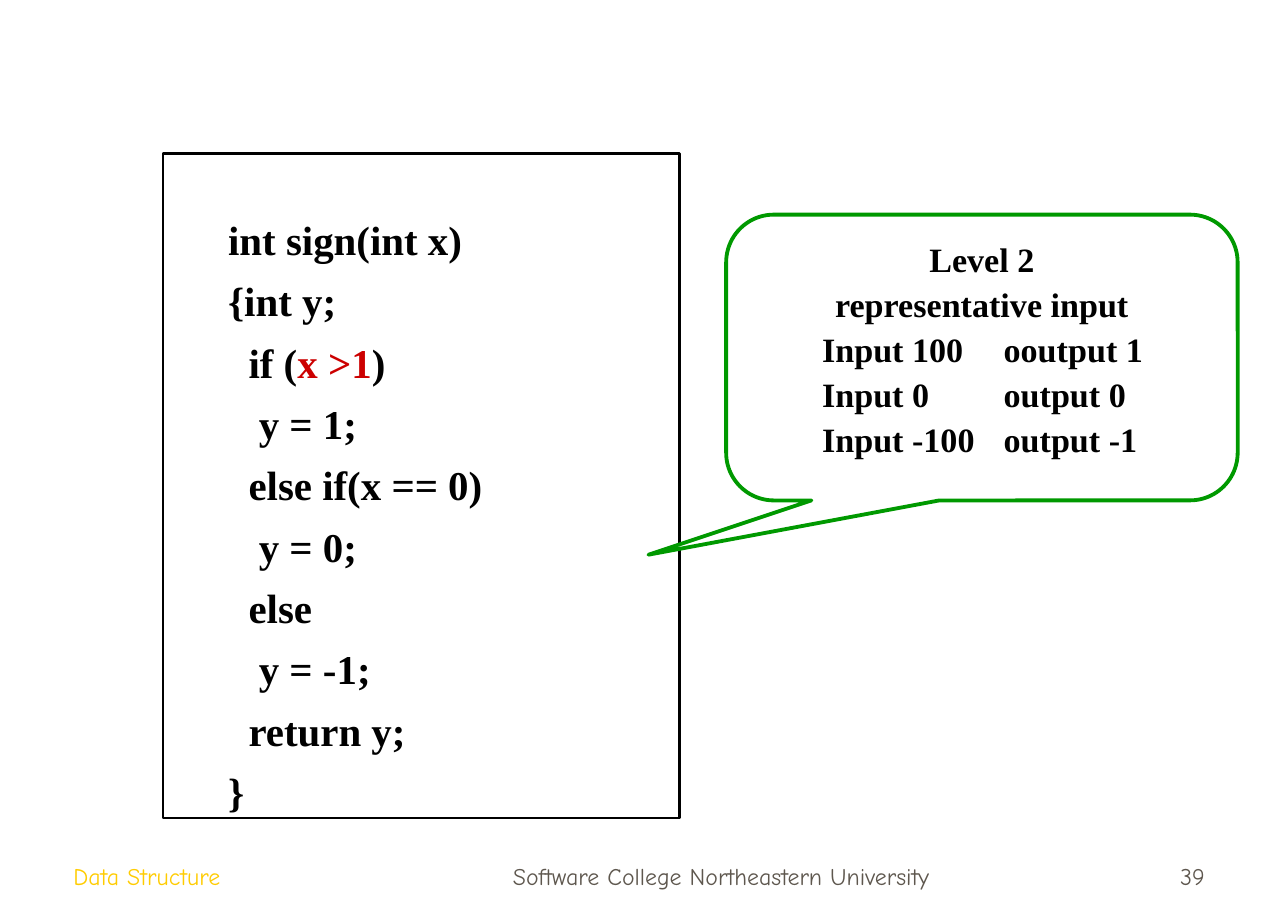
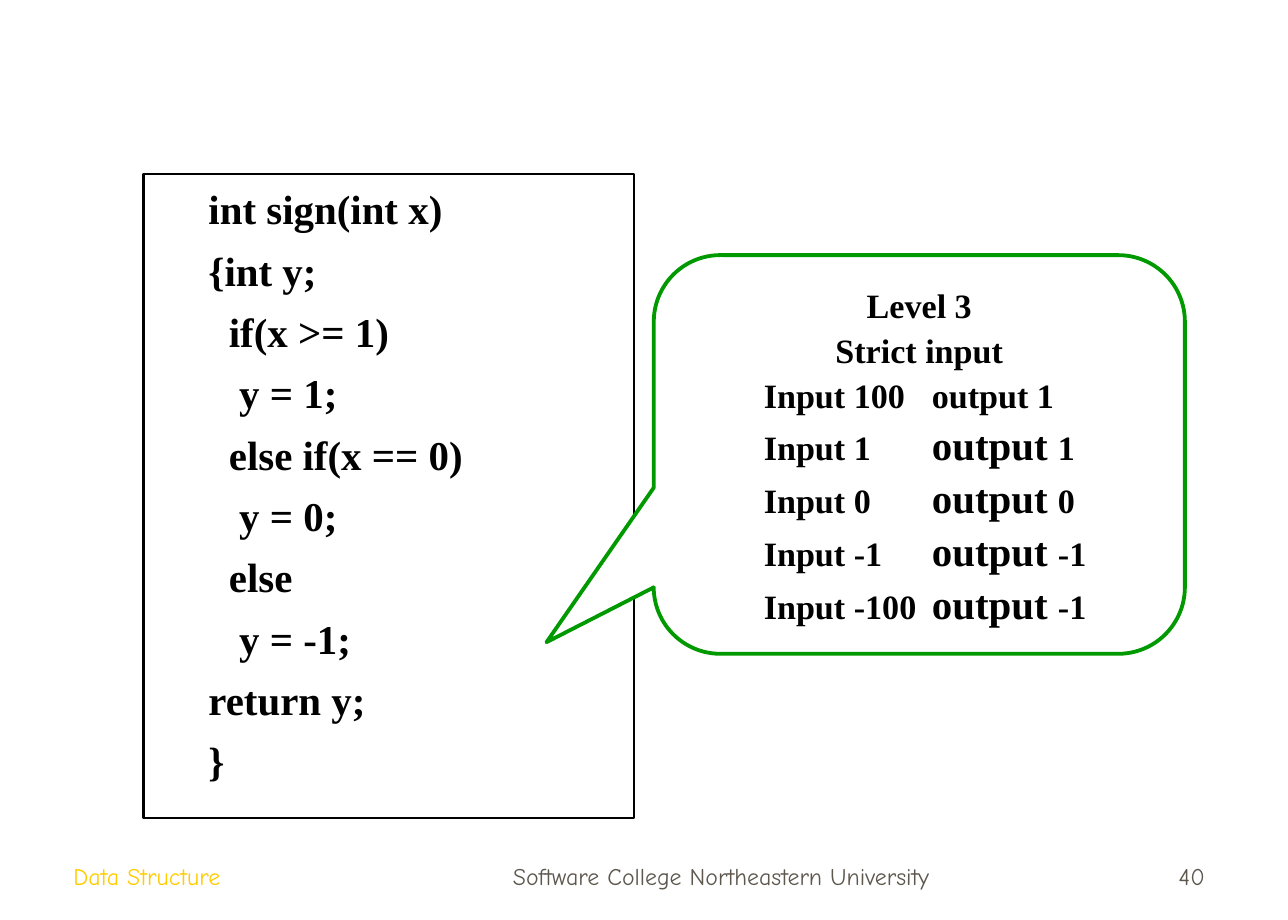
"""Build two slides pairing a C function with the test inputs for one coverage level."""
from dataclasses import dataclass

import pptx
import pptx.dml.color
import pptx.enum.shapes
import pptx.enum.text
import pptx.oxml
import pptx.oxml.ns
import pptx.util

Inches = pptx.util.Inches
Pt = pptx.util.Pt
ALIGN = pptx.enum.text.PP_ALIGN
ANCHOR = pptx.enum.text.MSO_ANCHOR
SHAPE = pptx.enum.shapes.MSO_SHAPE


@dataclass(frozen=True)
class Theme:
    ink: str = "000000"
    paper: str = "FFFFFF"
    alert: str = "CC0000"
    callout: str = "009900"
    course: str = "FFCC00"
    footer: str = "5E574E"
    body_font: str = "Times New Roman"
    footer_font: str = "Comic Neue"
    code_size: float = 24
    callout_size: float = 20
    footer_size: float = 14
    code_gap: float = 7.2
    callout_gap: float = 2.4


THEME = Theme()
ALERT = {"color": THEME.alert}
LARGE = {"size": THEME.code_size}

FOOTERS = [
    ("Data Structure", 0.5, 2.19, ALIGN.LEFT, THEME.course),
    ("Software College Northeastern University", 3.59, 4.58, ALIGN.CENTER, THEME.footer),
    ("{number}", 7.73, 2.19, ALIGN.RIGHT, THEME.footer),
]

BRANCHES = [
    "   y = 1;",
    "  else if(x == 0)",
    "   y = 0;",
    "  else",
    "   y = -1;",
]

SLIDES = [
    {
        "number": 39,
        "code_box": (1.33, 1.25, 4.21, 5.42),
        "code_top": 0.5,
        "code": [
            "int sign(int x)",
            "{int y;",
            [("  if (", {}), ("x >1", ALERT), (")", {})],
            *BRANCHES,
            "  return y;",
            "}",
        ],
        "callout_box": (5.92, 1.75, 4.17, 2.33),
        "pointer": (-0.652, 0.69, 0.167),
        "heading": ["Level 2", "representative input"],
        "columns": (0.57, 2.05),
        "cases": [
            ("Input 100", "ooutput ", "1", {}),
            ("Input 0", "output ", "0", {}),
            ("Input -100", "output ", "-1", {}),
        ],
    },
    {
        "number": 40,
        "code_box": (1.17, 1.42, 4, 5.25),
        "code_top": 0.08,
        "code": [
            "int sign(int x)",
            "{int y;",
            "  if(x >= 1)",
            *BRANCHES,
            "return y;",
            "}",
        ],
        "callout_box": (5.33, 2.08, 4.33, 3.25),
        "pointer": (-0.702, 0.471, 0.167),
        "heading": ["Level 3", "Strict input"],
        "columns": (0.64, 2.01),
        "cases": [
            ("Input 100", "output ", "1", {}),
            ("Input 1", "output ", "1", LARGE),
            ("Input 0", "output ", "0", LARGE),
            ("Input -1", "output ", "-1", LARGE),
            ("Input -100", "output ", "-1", LARGE),
        ],
    },
]


def rgb(value):
    return pptx.dml.color.RGBColor.from_string(value)


def set_frame(frame, insets, anchor):
    frame.word_wrap = True
    frame.vertical_anchor = anchor
    frame.margin_left, frame.margin_top, frame.margin_right, frame.margin_bottom = map(Inches, insets)


def set_font(font, name=None, size=None, color=None, bold=None):
    if name:
        font.name = name
    if size:
        font.size = Pt(size)
    if color:
        font.color.rgb = rgb(color)
    if bold is not None:
        font.bold = bold


def set_tabs(paragraph, stops):
    properties = paragraph._p.get_or_add_pPr()
    tab_list = properties.makeelement(pptx.oxml.ns.qn("a:tabLst"), {})
    for stop in stops:
        tab = tab_list.makeelement(pptx.oxml.ns.qn("a:tab"), {"pos": str(Inches(stop)), "algn": "l"})
        tab_list.append(tab)
    properties.append(tab_list)


def write_lines(frame, lines, size, gap, align):
    """Write (content, tab stops) lines; content is a string or styled runs."""
    for index, (content, stops) in enumerate(lines):
        paragraph = frame.add_paragraph() if index else frame.paragraphs[0]
        paragraph.alignment = ALIGN.LEFT if stops else align
        if stops:
            set_tabs(paragraph, stops)
        if index:
            paragraph.space_before = Pt(gap)
        set_font(paragraph.font, THEME.body_font, size, THEME.ink, True)
        for text, style in [(content, {})] if isinstance(content, str) else content:
            run = paragraph.add_run()
            run.text = text
            set_font(run.font, **style)


def add_panel(slide, kind, box, line_color, line_width):
    panel = slide.shapes.add_shape(kind, *map(Inches, box))
    panel.shadow.inherit = False
    panel.fill.solid()
    panel.fill.fore_color.rgb = rgb(THEME.paper)
    panel.line.color.rgb = rgb(line_color)
    panel.line.width = Pt(line_width)
    return panel


def add_footers(slide, number):
    for text, left, width, align, color in FOOTERS:
        frame = slide.shapes.add_textbox(*map(Inches, (left, 6.81, width, 0.5))).text_frame
        set_frame(frame, (0.1, 0.05, 0.1, 0.05), ANCHOR.BOTTOM)
        paragraph = frame.paragraphs[0]
        paragraph.alignment = align
        set_font(paragraph.font, THEME.footer_font, THEME.footer_size, color)
        paragraph.add_run().text = text.format(number=number)


def add_code(slide, content):
    listing = add_panel(slide, SHAPE.RECTANGLE, content["code_box"], THEME.ink, 1.5)
    set_frame(listing.text_frame, (0.53, content["code_top"], 0.3, 0.05), ANCHOR.TOP)
    lines = [(line, None) for line in content["code"]]
    write_lines(listing.text_frame, lines, THEME.code_size, THEME.code_gap, ALIGN.LEFT)


def add_callout(slide, content):
    callout = add_panel(slide, SHAPE.ROUNDED_RECTANGULAR_CALLOUT, content["callout_box"], THEME.callout, 2.25)
    for index, value in enumerate(content["pointer"]):
        callout.adjustments[index] = value
    set_frame(callout.text_frame, (0.1, 0.08, 0.1, 0.05), ANCHOR.TOP)
    lines = [(line, None) for line in content["heading"]]
    for given, label, result, style in content["cases"]:
        runs = [(f"\t{given}\t", {}), (label, style), (result, {})]
        lines.append((runs, content["columns"]))
    write_lines(callout.text_frame, lines, THEME.callout_size, THEME.callout_gap, ALIGN.CENTER)


def main():
    deck = pptx.Presentation()
    deck.slide_width, deck.slide_height = Inches(10.5), Inches(7.5)
    for content in SLIDES:
        slide = deck.slides.add_slide(deck.slide_layouts[6])
        add_footers(slide, content["number"])
        add_code(slide, content)
        add_callout(slide, content)
    deck.save("out.pptx")


if __name__ == "__main__":
    main()
